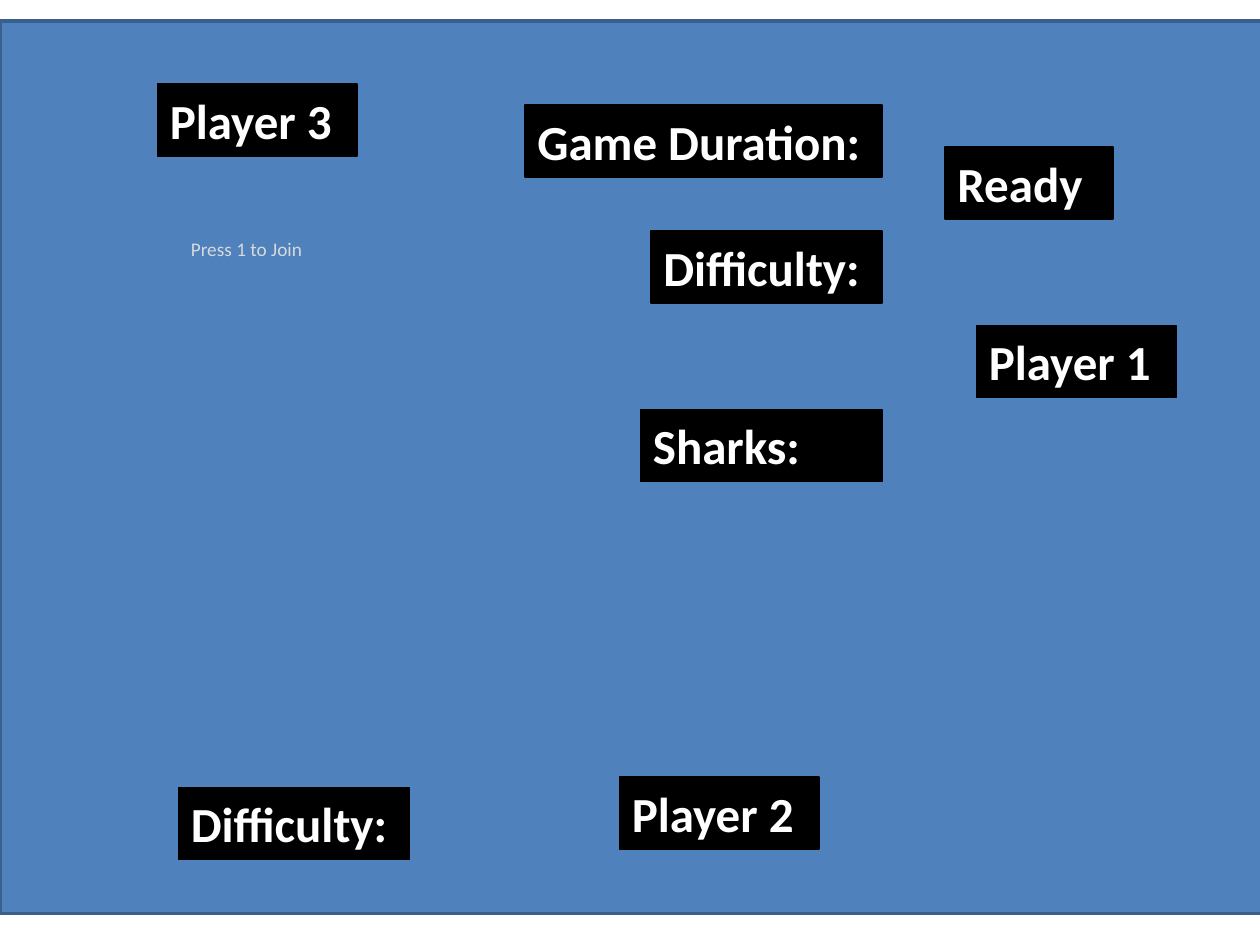
"""Build the game lobby slide with its player and settings labels."""
from dataclasses import dataclass

from pptx import Presentation
from pptx import util as u
from pptx.dml import color
from pptx.enum import shapes, text

FONT = "Calibri"
SEA, SEA_EDGE = "4F81BD", "3A5F8C"
BLACK, WHITE, GREY = "000000", "FFFFFF", "D9D9D9"
LABEL_HEIGHT = 41.2


@dataclass
class Label:
    text: str
    left: float
    top: float
    width: float


LABELS = [
    Label("Game Duration:", 300, 60, 204),
    Label("Difficulty:", 102, 450, 132),
    Label("Difficulty:", 372, 132, 132),
    Label("Sharks:", 366, 234, 138),
    Label("Ready", 540, 84, 96),
    Label("Player 1", 558, 186, 114),
    Label("Player 2", 354, 444, 114),
    Label("Player 3", 90, 48, 114),
]


def rgb(value: str) -> color.RGBColor:
    return color.RGBColor.from_string(value)


def add_rect(s, left: float, top: float, width: float, height: float,
             fill: str, line: str, weight: float):
    sp = s.shapes.add_shape(shapes.MSO_SHAPE.RECTANGLE, u.Pt(left), u.Pt(top),
                            u.Pt(width), u.Pt(height))
    sp.shadow.inherit = False
    sp.fill.solid()
    sp.fill.fore_color.rgb = rgb(fill)
    sp.line.color.rgb = rgb(line)
    sp.line.width = u.Pt(weight)
    return sp


def write(sp, content: str, size: float, ink: str, bold: bool = False) -> None:
    tf = sp.text_frame
    tf.word_wrap = True
    tf.auto_size = text.MSO_AUTO_SIZE.SHAPE_TO_FIT_TEXT
    tf.vertical_anchor = text.MSO_ANCHOR.TOP
    p = tf.paragraphs[0]
    p.alignment = text.PP_ALIGN.LEFT
    r = p.add_run()
    r.text = content
    r.font.name = FONT
    r.font.size = u.Pt(size)
    r.font.bold = bold
    r.font.color.rgb = rgb(ink)


def add_label(s, label: Label) -> None:
    sp = add_rect(s, label.left, label.top, label.width, LABEL_HEIGHT,
                  BLACK, BLACK, 0.75)
    write(sp, label.text, 28, WHITE, bold=True)


def main() -> None:
    prs = Presentation()
    prs.slide_width, prs.slide_height = u.Pt(720), u.Pt(540)
    s = prs.slides.add_slide(prs.slide_layouts[6])
    add_rect(s, 0, 12, 738, 510, SEA, SEA_EDGE, 2)
    prompt = s.shapes.add_textbox(u.Pt(102), u.Pt(132), u.Pt(78), u.Pt(20.6))
    write(prompt, "Press 1 to Join", 11, GREY)
    for label in LABELS:
        add_label(s, label)
    prs.save("out.pptx")


if __name__ == "__main__":
    main()
